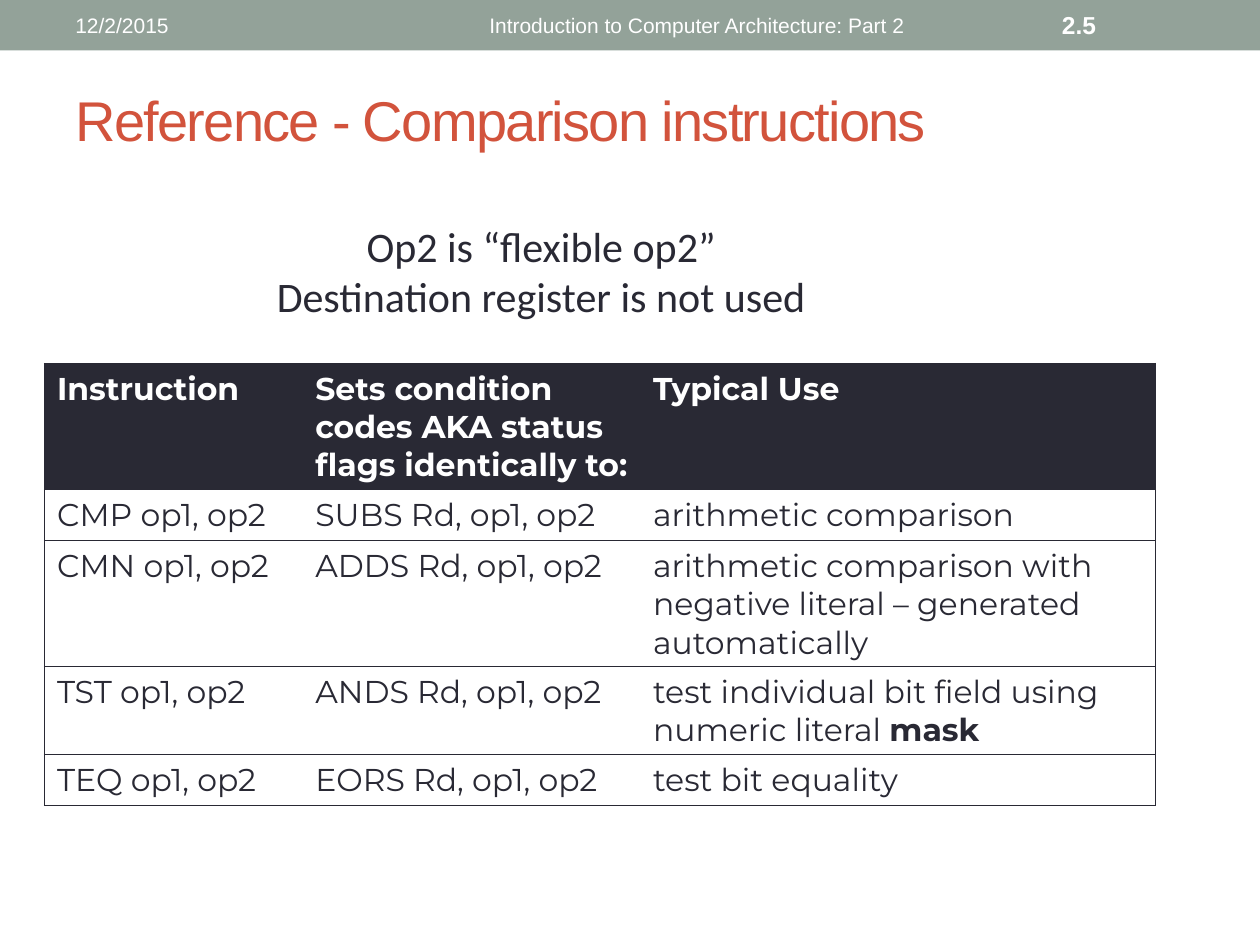
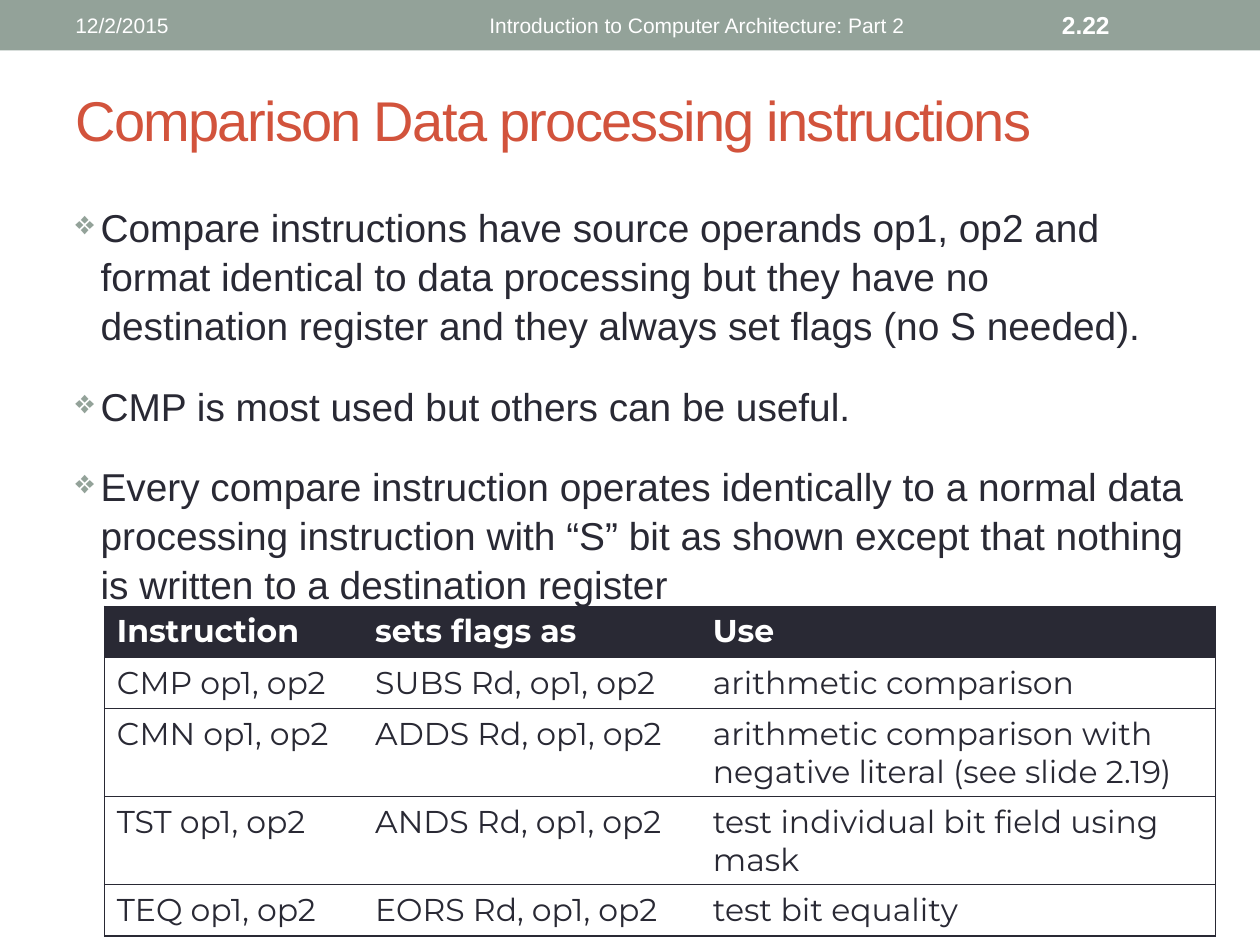
"""Build two slides on comparison instructions."""

from dataclasses import dataclass

from lxml.etree import SubElement as Sub
from pptx import Presentation as Deck
from pptx.dml.color import RGBColor as Color
from pptx.enum.shapes import MSO_SHAPE as Kind
from pptx.enum.text import MSO_ANCHOR as Anchor, PP_ALIGN as Align
from pptx.oxml import parse_xml
from pptx.oxml.ns import nsdecls, qn
from pptx.slide import Slide
from pptx.table import _Cell as Cell
from pptx.text.text import TextFrame as Frame
from pptx.util import Pt

SAGE = Color(0x93, 0xA2, 0x99)
RUST = Color(0xD2, 0x53, 0x3C)
INK = Color(0x29, 0x29, 0x34)
WHITE = Color(0xFF, 0xFF, 0xFF)

COLS = (147.6, 193, 294.4)
ROW = 29.2
EDGE = 0.75


@dataclass(frozen=True)
class Style:
    """Look of a piece of text."""

    size: float
    color: Color
    font: str = "Arial"
    bold: bool = False
    align: Align = Align.LEFT
    anchor: Anchor = Anchor.TOP


@dataclass(frozen=True)
class Box:
    """Place of a text box, in points."""

    left: float
    top: float
    width: float
    height: float


@dataclass(frozen=True)
class Grid:
    """Place and rows of a table; text after a bar is bold."""

    left: float
    top: float
    rows: tuple[tuple[str, str, str], ...]


TITLE = Style(32, RUST, anchor=Anchor.MIDDLE)
DATE = Style(12, WHITE, anchor=Anchor.MIDDLE)
COURSE = Style(12, WHITE, align=Align.RIGHT, anchor=Anchor.MIDDLE)
NUMBER = Style(14, WHITE, bold=True, anchor=Anchor.MIDDLE)
NOTE = Style(24, INK, "Calibri", align=Align.CENTER)
BODY = Style(22.2, INK)
HEAD = Style(18, WHITE, "Montserrat", bold=True)
PLAIN = Style(18, INK, "Montserrat")
STRONG = Style(18, INK, "Montserrat", bold=True)

POINTS = (
    "Compare instructions have source operands op1, op2 and format identical to data "
    "processing but they have no destination register and they always set flags (no S needed).",
    "CMP is most used but others can be useful.",
    "Every compare instruction operates identically to a normal data processing instruction "
    "with “S” bit as shown except that nothing is written to a destination register",
)


def format_run(run, style: Style) -> None:
    """Apply a style to one run."""
    run.font.size = Pt(style.size)
    run.font.name = style.font
    run.font.bold = style.bold
    run.font.color.rgb = style.color


def add_text(slide: Slide, box: Box, text: str, style: Style) -> Frame:
    """Add a wrapped text box in one style."""
    shape = slide.shapes.add_textbox(Pt(box.left), Pt(box.top), Pt(box.width), Pt(box.height))
    frame = shape.text_frame
    frame.word_wrap = True
    frame.vertical_anchor = style.anchor
    frame.text = text
    for para in frame.paragraphs:
        para.alignment = style.align
        for run in para.runs:
            format_run(run, style)
    return frame


def add_base(deck: Deck, title: str, number: str) -> Slide:
    """Add a blank slide with its band, header texts and title."""
    slide = deck.slides.add_slide(deck.slide_layouts[6])
    band = slide.shapes.add_shape(Kind.RECTANGLE, Pt(0), Pt(0), deck.slide_width, Pt(28.8))
    band.shadow.inherit = False
    band.fill.solid()
    band.fill.fore_color.rgb = SAGE
    band.line.fill.background()
    frame = add_text(slide, Box(36, 41.76, 648, 52.56), title, TITLE)
    for run in frame.paragraphs[0].runs:
        run.font._element.set("spc", "-100")
    add_text(slide, Box(36, 1.44, 148.32, 25.92), "12/2/2015", DATE)
    add_text(slide, Box(200.16, 1.44, 324, 25.92),
             "Introduction to Computer Architecture: Part 2", COURSE)
    add_text(slide, Box(599.76, 1.44, 84.24, 25.92), number, NUMBER)
    return slide


def set_edges(cell: Cell, first: bool, last: bool) -> None:
    """Rule a cell above and below, and at the outer sides of the table."""
    props = cell._tc.get_or_add_tcPr()
    sides = (("L", first), ("R", last), ("T", True), ("B", True))
    for index, (side, drawn) in enumerate(sides):
        fill = (f'<a:solidFill><a:srgbClr val="{INK}"/></a:solidFill>'
                if drawn else "<a:noFill/>")
        line = parse_xml(f'<a:ln{side} {nsdecls("a")} w="{Pt(EDGE)}">{fill}</a:ln{side}>')
        props.insert(index, line)


def add_grid(slide: Slide, grid: Grid) -> None:
    """Add a table with a dark head row and ruled rows."""
    count = len(grid.rows)
    table = slide.shapes.add_table(count, len(COLS), Pt(grid.left), Pt(grid.top),
                                   Pt(sum(COLS)), Pt(ROW * count)).table
    table.first_row = table.horz_banding = False
    for col, width in zip(table.columns, COLS):
        col.width = Pt(width)
    for r, texts in enumerate(grid.rows):
        table.rows[r].height = Pt(ROW)
        for c, text in enumerate(texts):
            cell = table.cell(r, c)
            plain, _, strong = text.partition("|")
            cell.text_frame.text = plain
            para = cell.text_frame.paragraphs[0]
            format_run(para.runs[0], PLAIN if r else HEAD)
            if strong:
                run = para.add_run()
                run.text = strong
                format_run(run, STRONG)
            if r:
                cell.fill.background()
            else:
                cell.fill.solid()
                cell.fill.fore_color.rgb = INK
            set_edges(cell, c == 0, c == len(COLS) - 1)


def add_points(slide: Slide, box: Box, points: tuple[str, ...]) -> None:
    """Add a list with diamond bullets."""
    frame = add_text(slide, box, "\n".join(points), BODY)
    for index, para in enumerate(frame.paragraphs):
        para.line_spacing = 1.05
        para.space_before = Pt(18 if index else 0)
        props = para._p.get_or_add_pPr()
        props.set("marL", str(Pt(14.4)))
        props.set("indent", str(-Pt(14.4)))
        Sub(Sub(props, qn("a:buClr")), qn("a:srgbClr"), val=str(SAGE))
        Sub(props, qn("a:buSzPct"), val="85000")
        Sub(props, qn("a:buChar"), char="❖")


def get_rows(head: tuple[str, str, str], negate: str, test: str) -> tuple[tuple[str, str, str], ...]:
    """Return the table rows, with the texts that vary by slide."""
    uses = (
        ("CMP", "SUBS", "arithmetic comparison"),
        ("CMN", "ADDS", f"arithmetic comparison with negative literal {negate}"),
        ("TST", "ANDS", f"test individual bit field using {test}"),
        ("TEQ", "EORS", "test bit equality"),
    )
    return head, *((f"{name} op1, op2", f"{twin} Rd, op1, op2", use) for name, twin, use in uses)


def main() -> None:
    """Build and save the deck."""
    deck = Deck()
    deck.slide_width, deck.slide_height = Pt(720), Pt(540)

    slide = add_base(deck, "Reference - Comparison instructions", "2.5")
    head = ("Instruction", "Sets condition codes AKA status flags identically to:", "Typical Use")
    add_grid(slide, Grid(25.4, 207.6, get_rows(
        head, "– generated automatically", "numeric literal |mask")))
    add_text(slide, Box(149.4, 122.4, 319.7, 65.5),
             "Op2 is “flexible op2”\nDestination register is not used", NOTE)

    slide = add_base(deck, "Comparison Data processing instructions", "2.22")
    add_points(slide, Box(36, 111.6, 648, 215.3), POINTS)
    head = ("Instruction", "sets flags as", "Use")
    add_grid(slide, Grid(59.6, 346.4, get_rows(head, "(see slide 2.19)", "mask")))

    deck.save("out.pptx")


if __name__ == "__main__":
    main()
